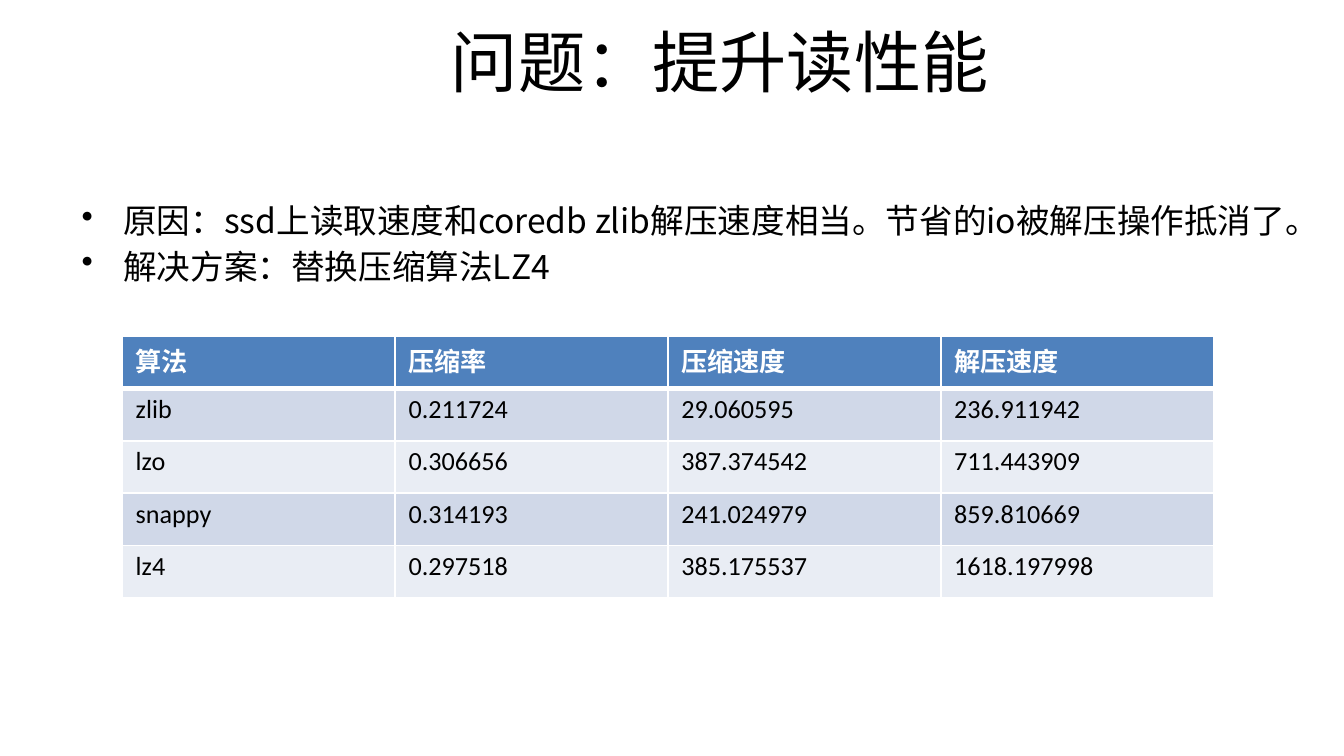
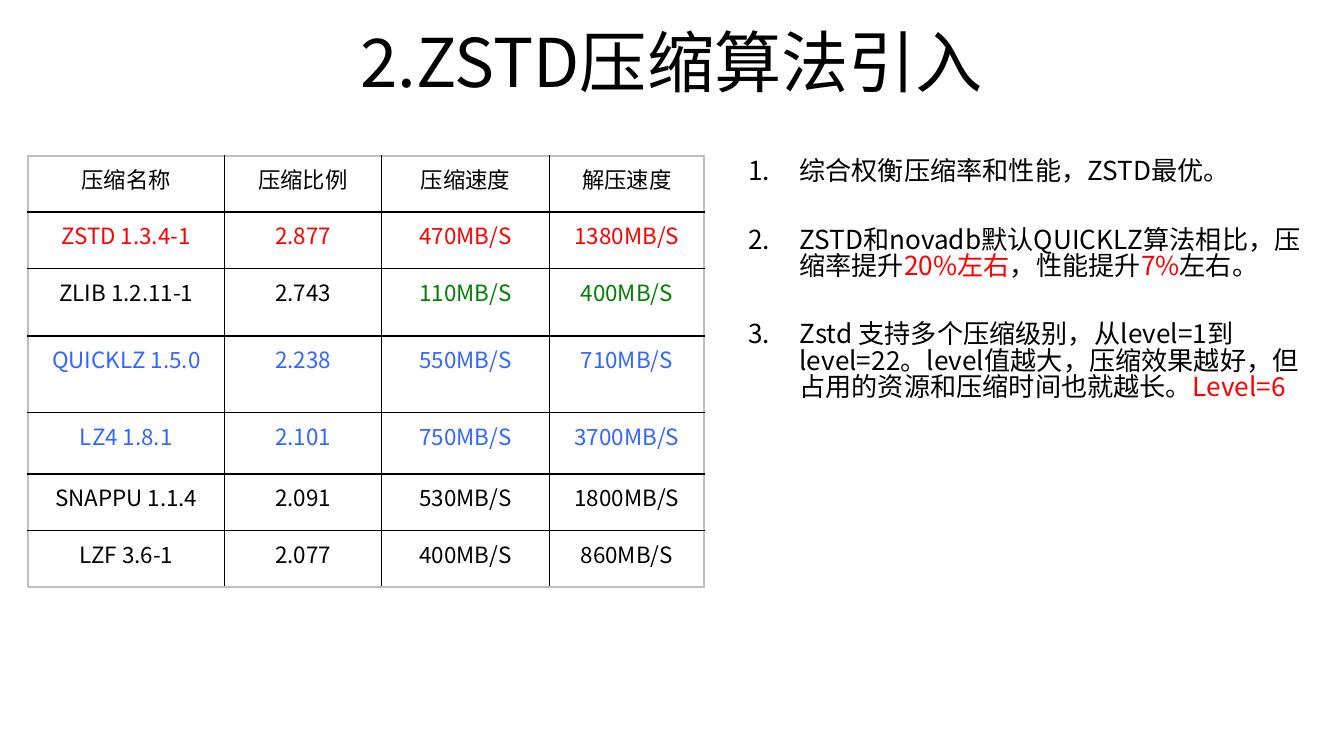
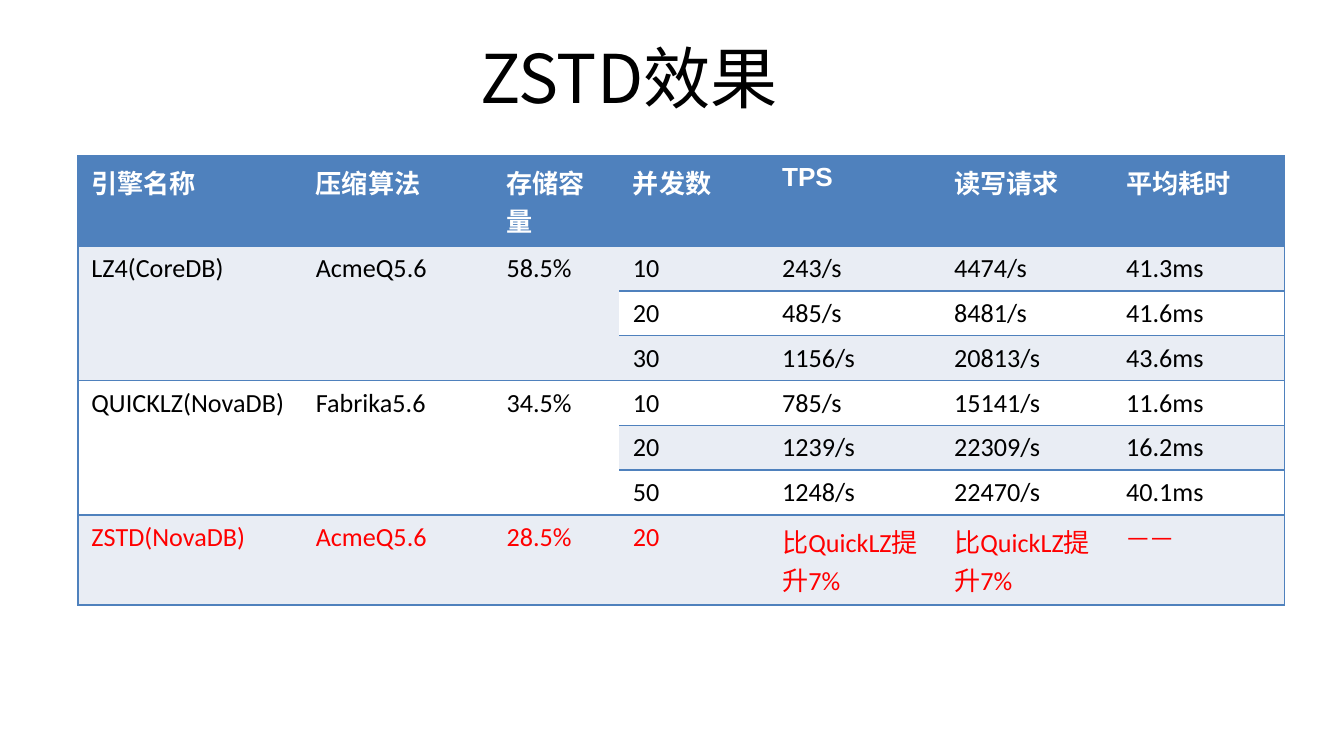
from lxml import etree
from pptx import Presentation
from pptx.dml.color import RGBColor
from pptx.enum.text import MSO_ANCHOR, PP_ALIGN
from pptx.oxml.ns import qn
from pptx.util import Inches, Pt

CENTER, LEFT = PP_ALIGN.CENTER, PP_ALIGN.LEFT
MIDDLE = MSO_ANCHOR.MIDDLE

COLORS = {
    "text": "000000", "white": "FFFFFF", "header": "4F81BD",
    "band_dark": "D0D8E8", "band_light": "E9EDF4", "frame": "C0C0C0",
    "red": "FF0000", "green": "008000", "blue": "3366FF",
}
CJK, LATIN, HEADING = "Noto Sans CJK SC", "Calibri", "Arial"
TITLE_SIZE = 36
LIST_SPACING = 0.84


def rgb(name):
    return RGBColor.from_string(COLORS[name])


def style(paragraph, size, face=CJK, color="text", bold=False, align=LEFT):
    paragraph.alignment = align
    font = paragraph.font
    font.size, font.name, font.bold = Pt(size), face, bold
    font.color.rgb = rgb(color)
    east_asian = etree.SubElement(paragraph._p.pPr.find(qn("a:defRPr")), qn("a:ea"))
    east_asian.set("typeface", CJK)


def add_text_frame(slide, box):
    frame = slide.shapes.add_textbox(*map(Inches, box)).text_frame
    frame.word_wrap = True
    return frame


def add_title(slide, text, box):
    frame = add_text_frame(slide, box)
    frame.vertical_anchor = MIDDLE
    frame.text = text
    style(frame.paragraphs[0], TITLE_SIZE, align=CENTER)


def add_list(slide, box, items, size, gap, indent, marker):
    """Each item is a list of (text, colour) runs; marker is (tag, attribute, value)."""
    frame = add_text_frame(slide, box)
    for index, item in enumerate(items):
        paragraph = frame.add_paragraph() if index else frame.paragraphs[0]
        for text, color in item:
            run = paragraph.add_run()
            run.text = text
            if color != "text":
                run.font.color.rgb = rgb(color)
        paragraph.line_spacing = LIST_SPACING
        paragraph.space_before = Pt(gap if index else 0)
        properties = paragraph._p.get_or_add_pPr()
        properties.set("marL", str(Inches(indent)))
        properties.set("indent", str(-Inches(indent)))
        tag, attribute, value = marker
        etree.SubElement(properties, qn(tag)).set(attribute, value)
        style(paragraph, size)


def set_borders(cell, **sides):
    """Each side L, R, T, B is (colour, points), or absent for no line."""
    properties = cell._tc.get_or_add_tcPr()
    for position, side in enumerate("LRTB"):
        line = etree.Element(qn("a:ln" + side))
        if sides.get(side):
            color, width = sides[side]
            line.set("w", str(Pt(width)))
            fill = etree.SubElement(line, qn("a:solidFill"))
            etree.SubElement(fill, qn("a:srgbClr")).set("val", COLORS[color])
        else:
            etree.SubElement(line, qn("a:noFill"))
        properties.insert(position, line)


def add_grid(slide, left, top, widths, heights, values, margins=(0.1, 0.05)):
    """Add a plain table and yield (row, column, cell) for styling."""
    table = slide.shapes.add_table(
        len(heights), len(widths), Inches(left), Inches(top),
        Inches(sum(widths)), Inches(sum(heights))).table
    table.first_row = table.horz_banding = False
    for column, width in zip(table.columns, widths):
        column.width = Inches(width)
    for row, height in zip(table.rows, heights):
        row.height = Inches(height)
    for r, row_values in enumerate(values):
        for c, value in enumerate(row_values):
            cell = table.cell(r, c)
            cell.margin_left = cell.margin_right = Inches(margins[0])
            cell.margin_top = cell.margin_bottom = Inches(margins[1])
            cell.text = value
            yield r, c, cell
    # An empty cell continues the one above it
    for c in range(len(widths)):
        start = 0
        for r in range(1, len(values) + 1):
            if r == len(values) or values[r][c]:
                if r - start > 1:
                    table.cell(start, c).merge(table.cell(r - 1, c))
                start = r


def fill_cell(cell, color):
    cell.fill.solid()
    cell.fill.fore_color.rgb = rgb(color)


def read_performance_slide(slide):
    add_title(slide, "问题：提升读性能", (1.38, -0.02, 7.95, 0.94))
    reasons = [
        [("原因：ssd上读取速度和coredb zlib解压速度相当。节省的io被解压操作抵消了。", "text")],
        [("解决方案：替换压缩算法LZ4", "text")],
    ]
    add_list(slide, (0.51, 1.49, 9.46, 1.4), reasons, 18, 6, 0.31,
             ("a:buChar", "char", "•"))

    # Algorithm benchmark
    benchmark = [
        ["算法", "压缩率", "压缩速度", "解压速度"],
        ["zlib", "0.211724", "29.060595", "236.911942"],
        ["lzo", "0.306656", "387.374542", "711.443909"],
        ["snappy", "0.314193", "241.024979", "859.810669"],
        ["lz4", "0.297518", "385.175537", "1618.197998"],
    ]
    thin, thick = ("white", 1), ("white", 3)
    for r, c, cell in add_grid(slide, 0.91, 2.5, [2.03] * 4, [0.39] * 5,
                               benchmark, (0.1, 0.04)):
        header = r == 0
        fill_cell(cell, "header" if header else "band_dark" if r % 2 else "band_light")
        style(cell.text_frame.paragraphs[0], 14, LATIN,
              "white" if header else "text", header)
        set_borders(cell, L=thin, R=thin, T=thick if r == 1 else thin,
                    B=thick if header else thin)


def zstd_introduction_slide(slide):
    add_title(slide, "2.ZSTD压缩算法引入", (0.5, -0.02, 9, 0.94))

    # Compression comparison
    comparison = [
        ["压缩名称", "压缩比例", "压缩速度", "解压速度"],
        ["ZSTD 1.3.4-1", "2.877", "470MB/S", "1380MB/S"],
        ["ZLIB 1.2.11-1", "2.743", "110MB/S", "400MB/S"],
        ["QUICKLZ 1.5.0", "2.238", "550MB/S", "710MB/S"],
        ["LZ4 1.8.1", "2.101", "750MB/S", "3700MB/S"],
        ["SNAPPU 1.1.4", "2.091", "530MB/S", "1800MB/S"],
        ["LZF 3.6-1", "2.077", "400MB/S", "860MB/S"],
    ]
    row_colors = {1: "red", 3: "blue", 4: "blue"}
    widths = [1.46, 1.17, 1.25, 1.15]
    heights = [0.42, 0.42, 0.5, 0.57, 0.46, 0.42, 0.42]
    inner, outer = ("text", 1), ("frame", 1)
    for r, c, cell in add_grid(slide, 0.21, 1.16, widths, heights,
                               comparison, (0.13, 0.05)):
        slow = r == 2 and c >= 2
        cell.fill.background()
        style(cell.text_frame.paragraphs[0], 12,
              color="green" if slow else row_colors.get(r, "text"), align=CENTER)
        set_borders(cell, L=inner if c else outer,
                    R=inner if c < len(widths) - 1 else outer,
                    T=inner if r else outer,
                    B=inner if r < len(heights) - 1 else outer)

    # Conclusions
    conclusions = [
        [("综合权衡压缩率和性能，ZSTD最优。", "text")],
        [("ZSTD和novadb默认QUICKLZ算法相比，压缩率提升", "text"), ("20%左右", "red"),
         ("，性能提升", "text"), ("7%", "red"), ("左右。", "text")],
        [("Zstd 支持多个压缩级别，从level=1到level=22。level值越大，压缩效果越好，"
          "但占用的资源和压缩时间也就越长。", "text"), ("Level=6", "red")],
    ]
    add_list(slide, (5.47, 1.14, 4.41, 2.71), conclusions, 14, 22.5, 0.38,
             ("a:buAutoNum", "type", "arabicPeriod"))


def zstd_results_slide(slide):
    add_title(slide, "ZSTD效果", (1.33, 0.1, 6.7, 0.94))

    # Engine results
    results = [
        ["引擎名称", "压缩算法", "存储容量", "并发数", "TPS", "读写请求", "平均耗时"],
        ["LZ4(CoreDB)", "AcmeQ5.6", "58.5%", "10", "243/s", "4474/s", "41.3ms"],
        ["", "", "", "20", "485/s", "8481/s", "41.6ms"],
        ["", "", "", "30", "1156/s", "20813/s", "43.6ms"],
        ["QUICKLZ(NovaDB)", "Fabrika5.6", "34.5%", "10", "785/s", "15141/s", "11.6ms"],
        ["", "", "", "20", "1239/s", "22309/s", "16.2ms"],
        ["", "", "", "50", "1248/s", "22470/s", "40.1ms"],
        ["ZSTD(NovaDB)", "AcmeQ5.6", "28.5%", "20", "比QuickLZ提升7%",
         "比QuickLZ提升7%", "——"],
    ]
    widths = [1.67, 1.42, 0.94, 1.11, 1.28, 1.28, 1.28]
    heights = [0.67] + [0.33] * 6 + [0.67]
    last_row, last_column = len(heights) - 1, len(widths) - 1
    rule = ("header", 1)
    for r, c, cell in add_grid(slide, 0.58, 1.16, widths, heights, results):
        header = r == 0
        fill_cell(cell, "header" if header else "band_light" if r % 2 else "white")
        color = "white" if header else "red" if r == last_row else "text"
        style(cell.text_frame.paragraphs[0], 14, HEADING if header else LATIN,
              color, header)
        set_borders(cell, T=rule, B=rule, L=None if c else rule,
                    R=rule if c == last_column else None)


def main():
    deck = Presentation()
    deck.slide_width = Inches(10)
    deck.slide_height = deck.slide_width * 9 // 16
    for build in (read_performance_slide, zstd_introduction_slide, zstd_results_slide):
        build(deck.slides.add_slide(deck.slide_layouts[6]))
    deck.save("out.pptx")


if __name__ == "__main__":
    main()
